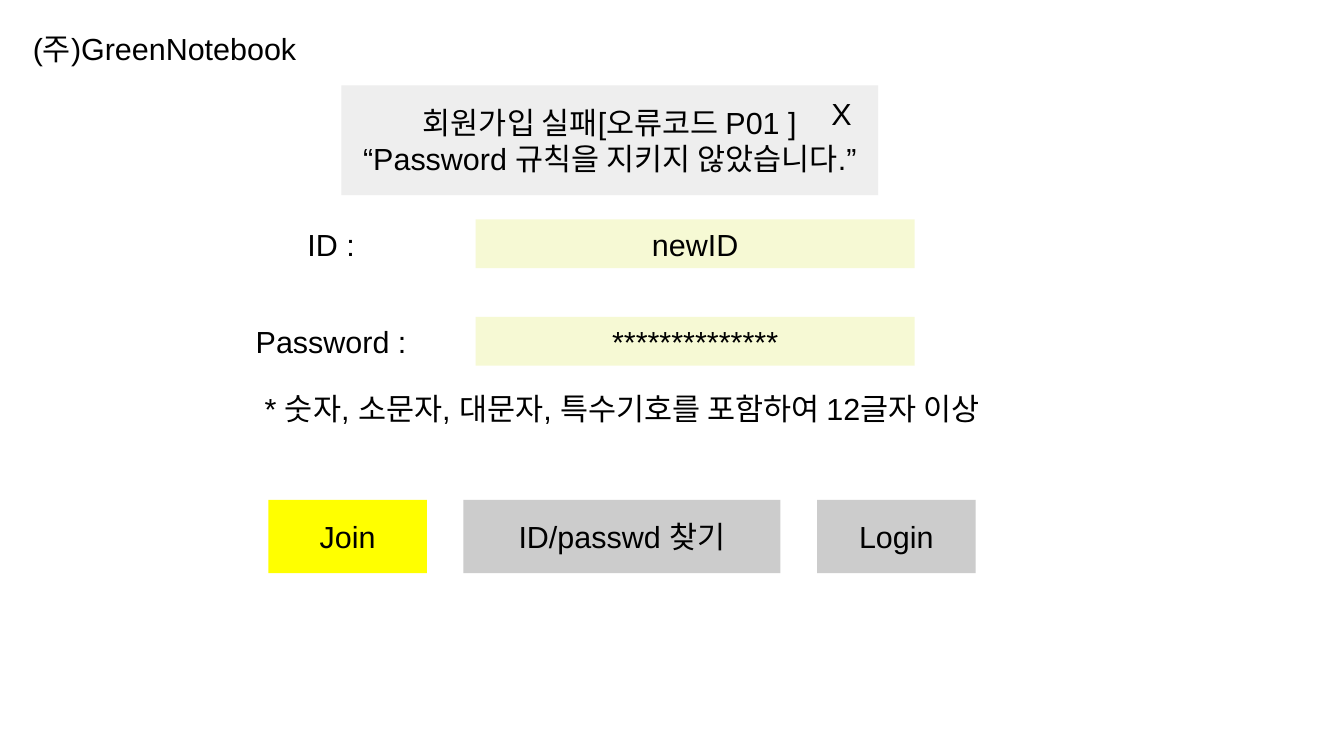
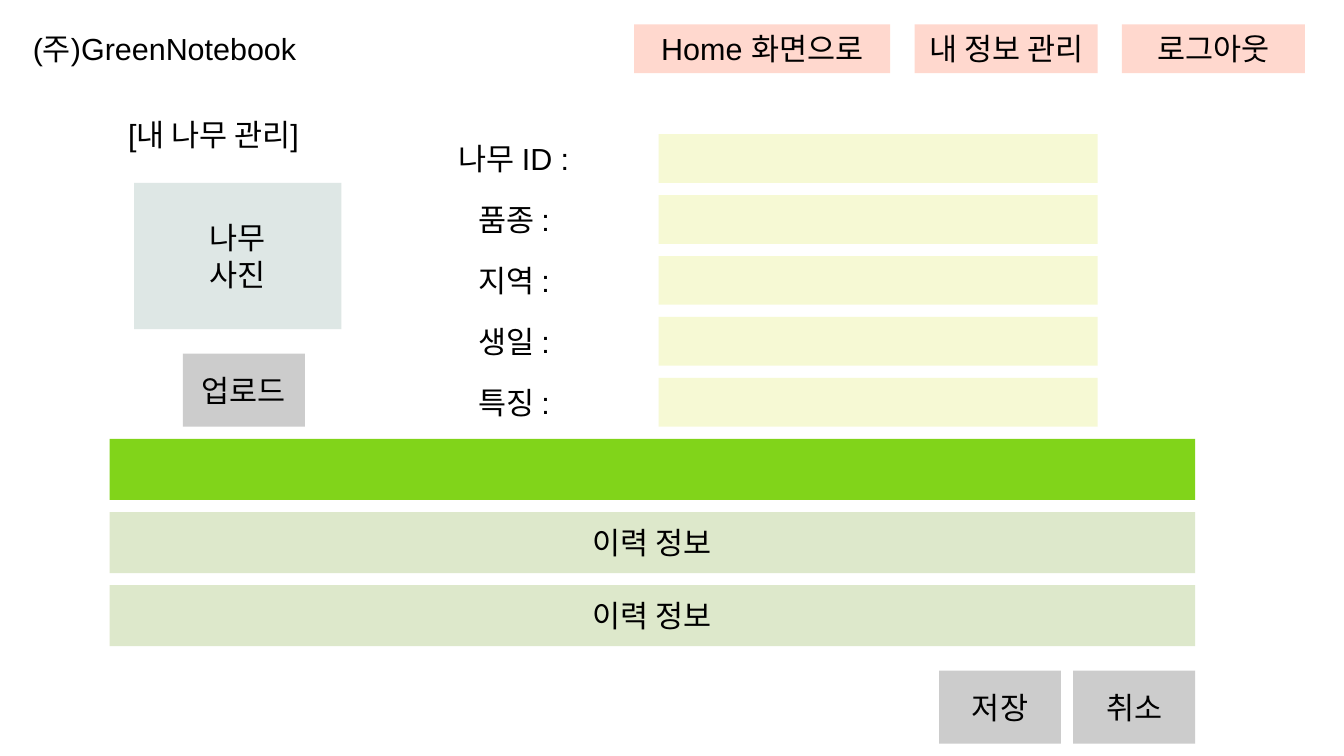
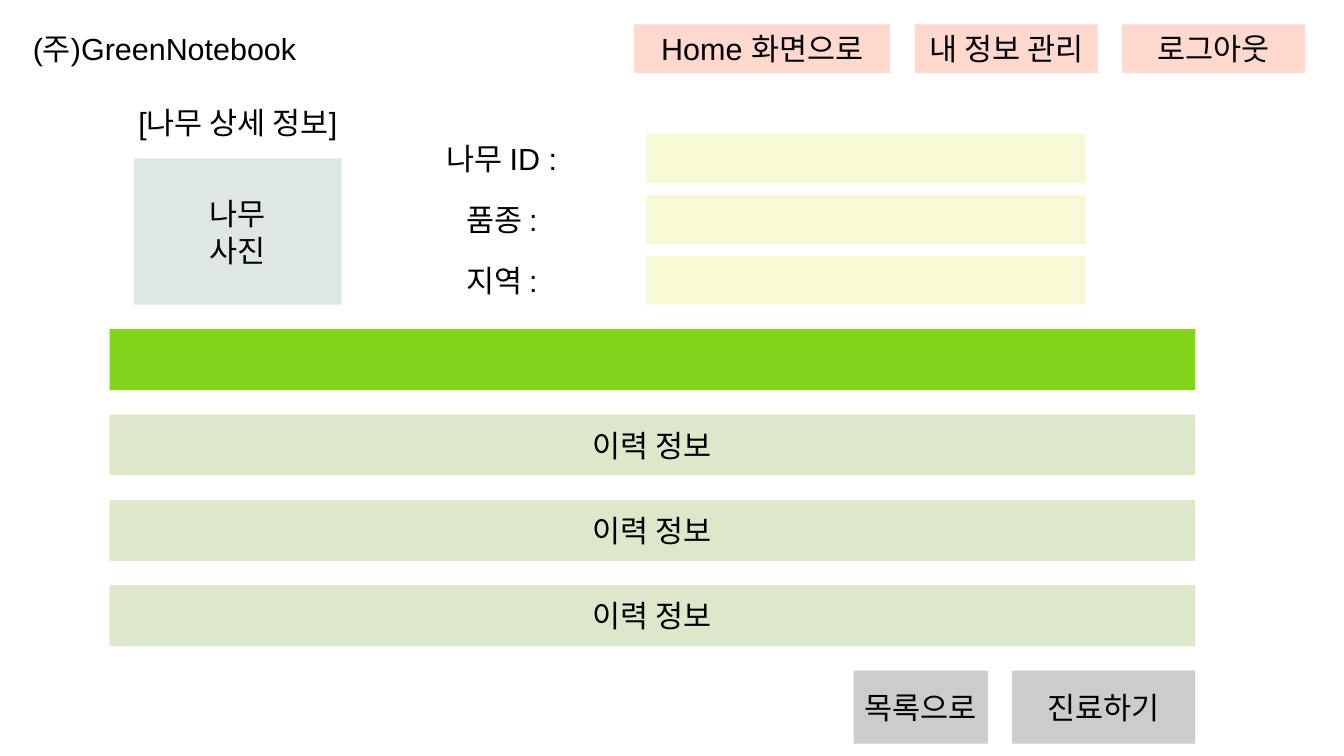
from dataclasses import dataclass
from itertools import accumulate

from pptx import Presentation
from pptx.dml.color import RGBColor
from pptx.enum import shapes, text
from pptx import util as u


@dataclass(frozen=True)
class Theme:
    """Colours, type and grid shared by all screens."""
    font: str = "Arial"
    size: float = 18
    ink: str = "000000"
    paper: str = "FFFFFF"
    field: str = "F6F9D4"
    button: str = "CCCCCC"
    accent: str = "FFFF00"
    popup: str = "EEEEEE"
    menu: str = "FFD8CE"
    photo: str = "DEE7E5"
    banner: str = "81D41A"
    record: str = "DDE8CB"
    cell: int = u.Inches(0.1)


theme = Theme()
BRAND = "(주)GreenNotebook"
BRAND_BOX = (1, 1, 25, 6)


def panel(parent, words, box, fill, holder=None):
    """Fill a rectangle, or a given placeholder, at a box of grid cells with centred words."""
    left, top, width, height = (round(n * theme.cell) for n in box)
    if holder is None:
        holder = parent.add_shape(shapes.MSO_SHAPE.RECTANGLE, left, top, width, height)
        holder.shadow.inherit = False
    else:
        holder.left, holder.top, holder.width, holder.height = left, top, width, height
    holder.fill.solid()
    holder.fill.fore_color.rgb = RGBColor.from_string(fill)
    holder.line.fill.background()
    frame = holder.text_frame
    frame.auto_size = text.MSO_AUTO_SIZE.NONE
    frame.word_wrap = False
    frame.margin_left = frame.margin_right = 0
    frame.vertical_anchor = text.MSO_ANCHOR.MIDDLE
    for number, line in enumerate(words.split("\n") if words else []):
        paragraph = frame.add_paragraph() if number else frame.paragraphs[0]
        paragraph.alignment = text.PP_ALIGN.CENTER
        run = paragraph.add_run()
        run.text = line
        run.font.name = theme.font
        run.font.size = u.Pt(theme.size)
        run.font.color.rgb = RGBColor.from_string(theme.ink)


def panel_row(parent, left, top, height, gap, items):
    """Set panels (words, width, fill) side by side with equal gaps."""
    starts = accumulate((width + gap for _, width, _ in items), initial=left)
    for start, (words, width, fill) in zip(starts, items):
        panel(parent, words, (start, top, width, height), fill)


deck = Presentation()
deck.slide_width, deck.slide_height = u.Inches(11.02), u.Inches(6.2)
title_only = deck.slide_layouts[5]

# Failed sign-up
signup = deck.slides.add_slide(title_only).shapes
panel(signup, BRAND, BRAND_BOX, theme.paper, signup.title)
for row, (label, entry) in enumerate([("ID : ", "newID"), ("Password : ", "*" * 14)]):
    panel(signup, label, (17, 17 + 8 * row, 21, 6), theme.paper)
    panel(signup, entry, (39, 18 + 8 * row, 36, 4), theme.field)
panel_row(signup, 22, 41, 6, 3, [
    ("Join", 13, theme.accent),
    ("ID/passwd 찾기", 26, theme.button),
    ("Login", 13, theme.button),
])
warning = signup.add_group_shape().shapes
panel(warning, "회원가입 실패[오류코드 P01 ]\n“Password 규칙을 지키지 않았습니다.”",
      (28, 7, 44, 9), theme.popup)
panel(warning, "X", (67, 7.8, 4, 3), theme.popup)
panel(signup, "* 숫자, 소문자, 대문자, 특수기호를 포함하여 12글자 이상",
      (18, 32, 66, 3), theme.paper)

# Tree management and tree details
tree_screens = [
    dict(heading="[내 나무 관리]", heading_box=(8, 9, 19, 4), photo_top=15, label_left=32,
         labels=["나무 ID : ", "품종 : ", "지역 : ", "생일 : ", "특징 : "],
         banner_top=36, records=2, record_step=6,
         upload=True, actions_left=77, actions_gap=1,
         actions=[("저장", 10, theme.button), ("취소", 10, theme.button)]),
    dict(heading="[나무 상세 정보]", heading_box=(9, 8, 21, 4), photo_top=13, label_left=31,
         labels=["나무 ID : ", "품종 : ", "지역 : "],
         banner_top=27, records=3, record_step=7,
         upload=False, actions_left=70, actions_gap=2,
         actions=[("목록으로", 11, theme.button), ("진료하기", 15, theme.button)]),
]
for screen in tree_screens:
    tree = deck.slides.add_slide(title_only).shapes
    panel(tree, screen["heading"], screen["heading_box"], theme.paper, tree.title)
    panel(tree, BRAND, BRAND_BOX, theme.paper)
    panel_row(tree, 52, 2, 4, 2, [
        ("Home 화면으로", 21, theme.menu),
        ("내 정보 관리", 15, theme.menu),
        ("로그아웃", 15, theme.menu),
    ])
    panel(tree, "나무\n사진", (11, screen["photo_top"], 17, 12), theme.photo)
    if screen["upload"]:
        panel(tree, "업로드", (15, screen["photo_top"] + 14, 10, 6), theme.button)
    for row, label in enumerate(screen["labels"]):
        panel(tree, label, (screen["label_left"], 10 + 5 * row, 21, 6), theme.paper)
        panel(tree, "", (screen["label_left"] + 22, 11 + 5 * row, 36, 4), theme.field)
    for row in range(screen["records"] + 1):
        words, fill = ("이력 정보", theme.record) if row else ("", theme.banner)
        panel(tree, words,
              (9, screen["banner_top"] + screen["record_step"] * row, 89, 5), fill)
    panel_row(tree, screen["actions_left"], 55, 6, screen["actions_gap"], screen["actions"])

deck.save("out.pptx")
